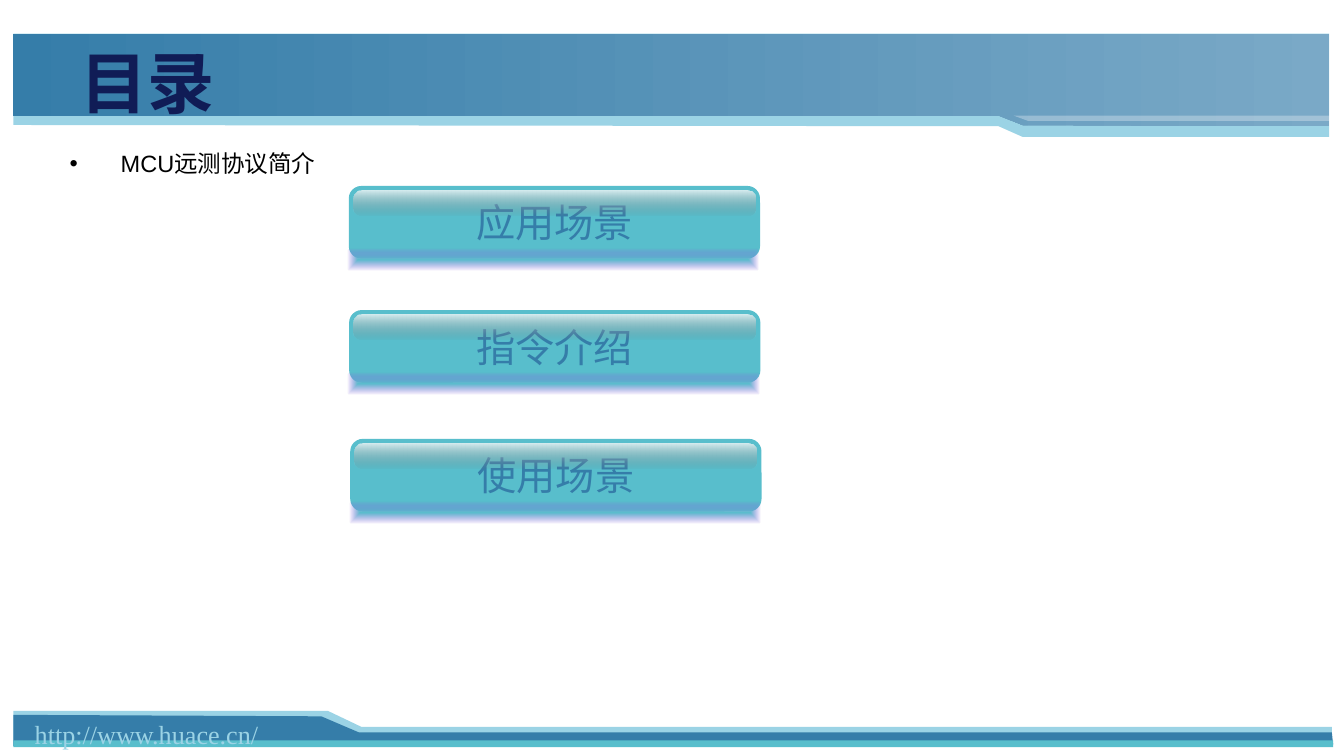
from lxml import etree
from pptx import Presentation
from pptx.dml.color import RGBColor
from pptx.enum.shapes import MSO_SHAPE
from pptx.enum.text import MSO_ANCHOR, PP_ALIGN
from pptx.oxml import parse_xml
from pptx.oxml.ns import nsdecls, qn
from pptx.util import Pt

COLORS = {
    "pale": "9BD3E5", "blue": "357DA9", "mist": "7AA9C7", "teal": "58BECC",
    "navy": "101C56", "violet": "8A5BDF", "white": "FFFFFF", "black": "000000",
    "shine": "F8F8F8", "gray": "727272",
}
CJK_FONT = "Noto Sans CJK SC"
LINEAR = '<a:lin ang="{}" scaled="0"/>'
FROM_CENTER = ('<a:path path="rect"><a:fillToRect l="50000" t="50000" '
               'r="50000" b="50000"/></a:path>')
BOX_FORMAT = {"margin_left": Pt(7.2), "margin_right": Pt(7.2),
              "margin_top": Pt(3.6), "margin_bottom": Pt(3.6),
              "vertical_anchor": MSO_ANCHOR.TOP, "word_wrap": True}
BUTTON_FORMAT = {"margin_left": Pt(5), "margin_right": Pt(5),
                 "margin_top": Pt(2.9), "margin_bottom": Pt(2.9),
                 "vertical_anchor": MSO_ANCHOR.MIDDLE, "word_wrap": False}


def apply_format(target, values):
    for name, value in values.items():
        setattr(target, name, value)


def rgb(color):
    return RGBColor.from_string(COLORS[color])


class SlideBuilder:
    def __init__(self, slide):
        self.slide = slide

    def paint(self, shape, color, opacity=100):
        shape.shadow.inherit = False
        shape.line.fill.background()
        shape.fill.solid()
        shape.fill.fore_color.rgb = rgb(color)
        if opacity < 100:
            fill_color = shape.element.spPr.find(qn("a:solidFill"))[0]
            etree.SubElement(fill_color, qn("a:alpha"), val=str(opacity * 1000))

    def paint_gradient(self, shape, stops, direction):
        """Fill with (position, color, opacity) stops, all in percent."""
        self.paint(shape, stops[0][1])
        stop_xml = "".join(
            f'<a:gs pos="{position * 1000}"><a:srgbClr val="{COLORS[color]}">'
            f'<a:alpha val="{opacity * 1000}"/></a:srgbClr></a:gs>'
            for position, color, opacity in stops)
        properties = shape.element.spPr
        properties.replace(
            properties.find(qn("a:solidFill")),
            parse_xml(f'<a:gradFill {nsdecls("a")} rotWithShape="1">'
                      f'<a:gsLst>{stop_xml}</a:gsLst>{direction}</a:gradFill>'))

    def band(self, points, color, opacity=100):
        corners = [(Pt(x), Pt(y)) for x, y in points]
        builder = self.slide.shapes.build_freeform(*corners[0])
        builder.add_line_segments(corners[1:], close=True)
        shape = builder.convert_to_shape()
        self.paint(shape, color, opacity)
        return shape

    def box(self, shapes, kind, bounds, color, rounding=None):
        shape = shapes.add_shape(kind, *map(Pt, bounds))
        if rounding is not None:
            shape.adjustments[0] = rounding
        self.paint(shape, color)
        return shape

    def set_text(self, shape, text, size, color, font="Arial", bold=False,
                 align=PP_ALIGN.LEFT, frame_format=BOX_FORMAT):
        frame = shape.text_frame
        apply_format(frame, frame_format)
        paragraph = frame.paragraphs[0]
        paragraph.alignment = align
        run = paragraph.add_run()
        run.text = text
        apply_format(run.font, {"name": font, "size": Pt(size), "bold": bold})
        run.font.color.rgb = rgb(color)
        etree.SubElement(run._r.get_or_add_rPr(), qn("a:ea"), typeface=CJK_FONT)
        return paragraph

    def title(self, text, bounds):
        shape = self.slide.shapes.title
        apply_format(shape, dict(zip(("left", "top", "width", "height"),
                                     map(Pt, bounds))))
        self.set_text(shape, text, 36, "navy", CJK_FONT, bold=True)
        # The placeholder comes first, so lift it above the header bands.
        shape.element.getparent().append(shape.element)

    def label(self, text, bounds, size, color, font="Arial", wrap=True):
        shape = self.slide.shapes.add_textbox(*map(Pt, bounds))
        return self.set_text(shape, text, size, color, font,
                             frame_format={**BOX_FORMAT, "word_wrap": wrap})

    def bullet(self, text, bounds, size, color):
        paragraph = self.label(text, bounds, size, color)
        properties = paragraph._p.get_or_add_pPr()
        properties.set("marL", str(Pt(27.4)))
        properties.set("indent", str(-Pt(27.4)))
        bullet_color = etree.SubElement(properties, qn("a:buClr"))
        etree.SubElement(bullet_color, qn("a:srgbClr"), val=COLORS[color])
        etree.SubElement(properties, qn("a:buFont"), typeface="Arial")
        etree.SubElement(properties, qn("a:buChar"), char="•")

    def glossy_button(self, text, left, top):
        """Group a button face with its highlight and the glow below it."""
        shapes = self.slide.shapes.add_group_shape().shapes
        rounded = MSO_SHAPE.ROUNDED_RECTANGLE
        face = self.box(shapes, rounded, (left, top, 219.6, 38.2), "teal", 0.167)
        face.line.color.rgb = rgb("teal")
        face.line.width = Pt(0.75)
        self.set_text(face, text, 21, "blue", align=PP_ALIGN.CENTER,
                      frame_format=BUTTON_FORMAT)
        highlight = self.box(shapes, rounded, (left + 2.2, top + 2.2, 215.3, 13),
                             "shine", 0.324)
        self.paint_gradient(highlight, [(0, "shine", 80), (100, "gray", 0)],
                            LINEAR.format(90 * 60000))
        glow = self.box(shapes, rounded, (left - 0.9, top + 33.4, 220.3, 11.5),
                        "teal", 0.167)
        self.paint_gradient(glow, [(0, "teal", 100), (100, "violet", 0)],
                            FROM_CENTER)


def main():
    presentation = Presentation()
    presentation.slide_width, presentation.slide_height = Pt(720), Pt(405)
    slide = presentation.slides.add_slide(presentation.slide_layouts[5])
    builder = SlideBuilder(slide)

    builder.band([(7.2, 399.6), (713.5, 399.6), (713.5, 389.5), (193.7, 389.5),
                  (175.7, 380.9), (7.2, 380.9)], "pale")
    builder.band([(7.2, 399.6), (714.2, 398.9), (713.5, 392.4), (192.2, 392.4),
                  (172.1, 383.8), (7.2, 383)], "blue")
    builder.band([(712.1, 18), (7.2, 18), (7.2, 67), (535, 67.7),
                  (547.9, 73.4), (712.1, 73.4)], "pale")
    header = builder.band([(712.1, 18), (7.2, 18), (7.2, 61.9), (535, 61.9),
                           (547.9, 67), (712.1, 67.7)], "mist")
    builder.paint_gradient(header, [(0, "mist", 100), (100, "blue", 100)],
                           LINEAR.format(180 * 60000))
    builder.box(slide.shapes, MSO_SHAPE.RECTANGLE, (7.2, 396.7, 707, 3.6), "teal")
    builder.band([(542.9, 61.9), (712.8, 61.9), (712.8, 64.8), (550.8, 64.8)],
                 "white", opacity=30)

    builder.label("http://www.huace.cn/", (11.5, 381.6, 135.4, 24.5), 14, "pale",
                  "Times New Roman", wrap=False)
    builder.title("目录", (36, 18.7, 509.8, 40.3))
    for text, left, top in (("应用场景", 187.2, 100), ("指令介绍", 187.4, 166.5),
                            ("使用场景", 188, 235.5)):
        builder.glossy_button(text, left, top)
    builder.bullet("MCU远测协议简介", (30.2, 76.3, 620.6, 23.8), 12.6, "black")

    presentation.save("out.pptx")


if __name__ == "__main__":
    main()
